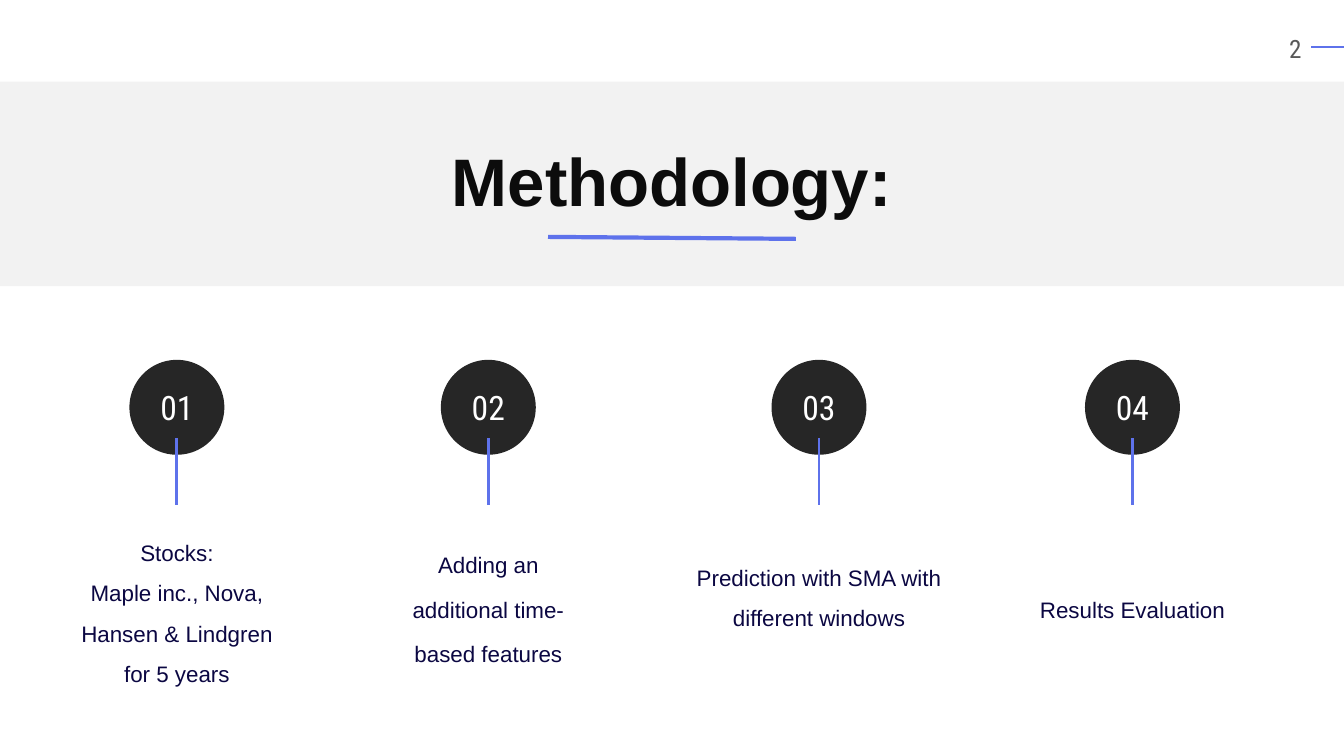
from dataclasses import dataclass

from lxml.etree import SubElement
from pptx import Presentation
from pptx.dml.color import RGBColor
from pptx.enum.shapes import MSO_CONNECTOR as Connector, MSO_SHAPE as Shape
from pptx.enum.text import MSO_ANCHOR as Anchor, MSO_AUTO_SIZE as AutoSize, PP_ALIGN as Align
from pptx.oxml.ns import qn
from pptx.util import Inches, Pt

COLUMNS, ROWS = 160, 90
UNIT = Inches(1) / 12


@dataclass(frozen=True)
class Theme:
    accent: str = "5E72EB"
    band: str = "F2F2F2"
    disc: str = "262626"
    on_disc: str = "FFFFFF"
    title: str = "0C0C0C"
    label: str = "0B0742"
    page_number: str = "595959"
    body_font: str = "Arial"
    number_font: str = "Roboto Condensed"
    title_size: int = 48
    step_size: int = 24
    page_number_size: int = 18
    label_size: int = 16


THEME = Theme()


@dataclass(frozen=True)
class Box:
    """An area in grid columns and rows."""
    left: float
    top: float
    width: float
    height: float

    def area(self, left, top, width, height):
        """An area placed from this one's top left corner."""
        return Box(self.left + left, self.top + top, width, height)

    def lengths(self):
        return [round(side * UNIT) for side in (self.left, self.top, self.width, self.height)]


@dataclass(frozen=True)
class Step:
    center: float
    width: float
    label_top: float
    label_height: float
    spacing: float
    lines: tuple


STEPS = (
    Step(21.06, 33.84, 20.04, 18.6, 1.5,
         ("Stocks:", "Maple inc., Nova,", "Hansen & Lindgren", "for 5 years")),
    Step(58.14, 25.92, 21.48, 14.28, 1.66, ("Adding an additional time-based features",)),
    Step(97.5, 33.84, 18.72, 17.52, 1.5, ("Prediction with SMA with different windows",)),
    Step(134.82, 27.36, 21.48, 14.28, 1.66, ("Results Evaluation",)),
)


def write(shape, *lines, size, color, font=THEME.body_font, bold=False,
          align=Align.CENTER, anchor=Anchor.MIDDLE, spacing=1.0):
    frame = shape.text_frame
    frame.word_wrap = True
    frame.auto_size = AutoSize.NONE
    frame.vertical_anchor = anchor
    for index, line in enumerate(lines):
        para = frame.add_paragraph() if index else frame.paragraphs[0]
        para.alignment = align
        para.line_spacing = spacing
        span = para.add_run()
        span.text = line
        span.font.size = Pt(size)
        span.font.name = font
        span.font.bold = bold
        span.font.color.rgb = RGBColor.from_string(color)


def add_text(page, box, *lines, **style):
    write(page.shapes.add_textbox(*box.lengths()), *lines, **style)


def add_filled(page, kind, box, color):
    shape = page.shapes.add_shape(kind, *box.lengths())
    shape.shadow.inherit = False
    shape.fill.solid()
    shape.fill.fore_color.rgb = RGBColor.from_string(color)
    shape.line.fill.background()
    return shape


def add_rule(page, box, weight):
    """Draw an accent line from the box's top left to its bottom right."""
    left, top, width, height = box.lengths()
    rule = page.shapes.add_connector(Connector.STRAIGHT, left, top, left + width, top + height)
    rule.line.color.rgb = RGBColor.from_string(THEME.accent)
    rule.line.width = Pt(weight)
    SubElement(rule._element.spPr, qn("a:effectLst"))


def add_page_number(page, box, number):
    add_text(page, box.area(0, 0, 10.08, 4.2), number, size=THEME.page_number_size,
             color=THEME.page_number, font=THEME.number_font, align=Align.RIGHT,
             anchor=Anchor.TOP)
    add_rule(page, box.area(10.08, 2.28, box.width - 10.08, 0), 1.5)


def add_header(page, box, text):
    add_filled(page, Shape.RECTANGLE, box, THEME.band)
    title = page.shapes.title
    title.left, title.top, title.width, title.height = box.area(0, 6.24, box.width, 10.92).lengths()
    write(title, text, size=THEME.title_size, color=THEME.title, bold=True, anchor=Anchor.TOP)
    # The band was added after the placeholder, so the title is raised above it
    page.shapes._spTree.append(title._element)
    rule_width = 29.52
    add_rule(page, box.area((box.width - rule_width) / 2, 18.48, rule_width, 0.24), 3)


def add_step(page, box, number, step):
    middle, diameter = box.width / 2, 11.3
    disc = add_filled(page, Shape.OVAL,
                      box.area(middle - diameter / 2, 0, diameter, diameter), THEME.disc)
    write(disc, f"{number:02}", size=THEME.step_size, color=THEME.on_disc,
          font=THEME.number_font)
    add_rule(page, box.area(middle, 9.36, 0, 7.92), 2)
    add_text(page, box.area(0, step.label_top, box.width, step.label_height), *step.lines,
             size=THEME.label_size, color=THEME.label, spacing=step.spacing)


def add_methodology(deck):
    page = deck.slides.add_slide(deck.slide_layouts[5])
    add_page_number(page, Box(146.04, 3.36, COLUMNS - 146.04, 4.2), "2")
    add_header(page, Box(0, 9.72, COLUMNS, 24.36), "Methodology:")
    steps_top = 42.84
    for number, step in enumerate(STEPS, 1):
        box = Box(step.center - step.width / 2, steps_top, step.width, ROWS - steps_top)
        add_step(page, box, number, step)


def main():
    deck = Presentation()
    deck.slide_width, deck.slide_height = round(COLUMNS * UNIT), round(ROWS * UNIT)
    add_methodology(deck)
    deck.save("out.pptx")


if __name__ == "__main__":
    main()
